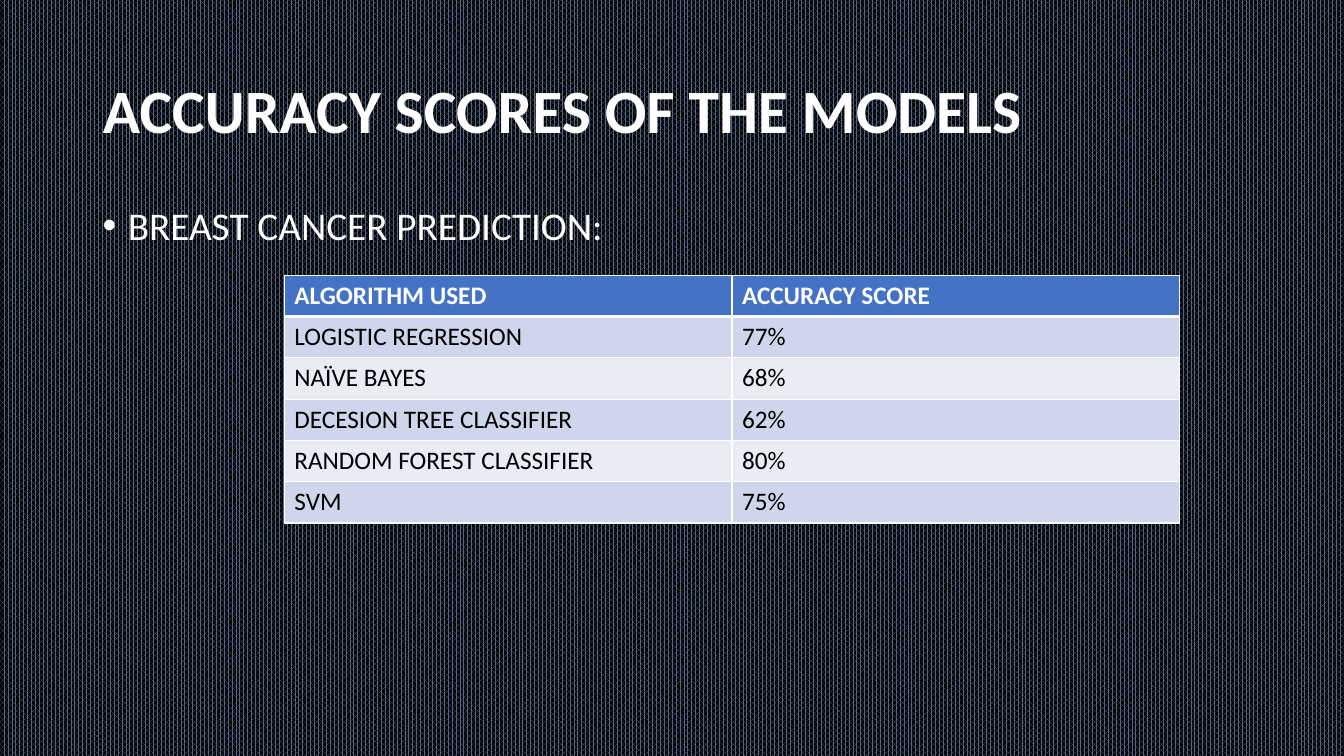
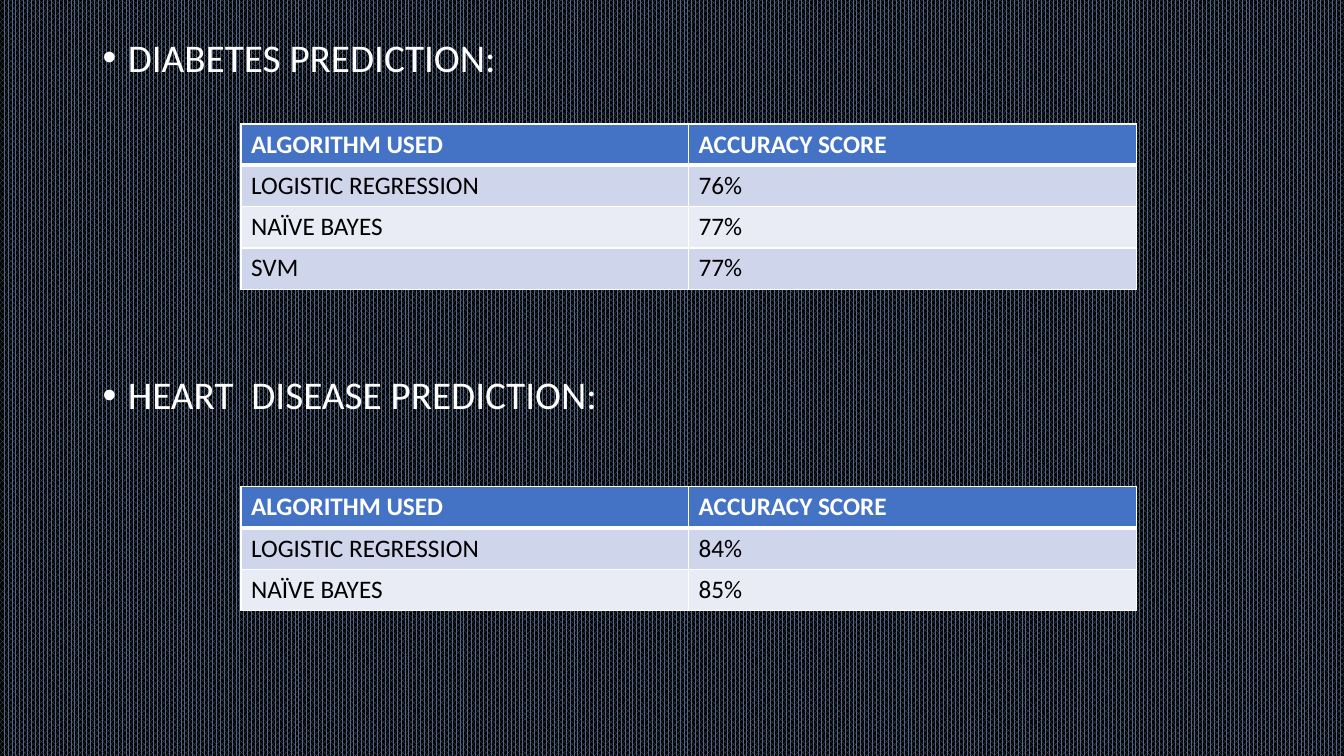
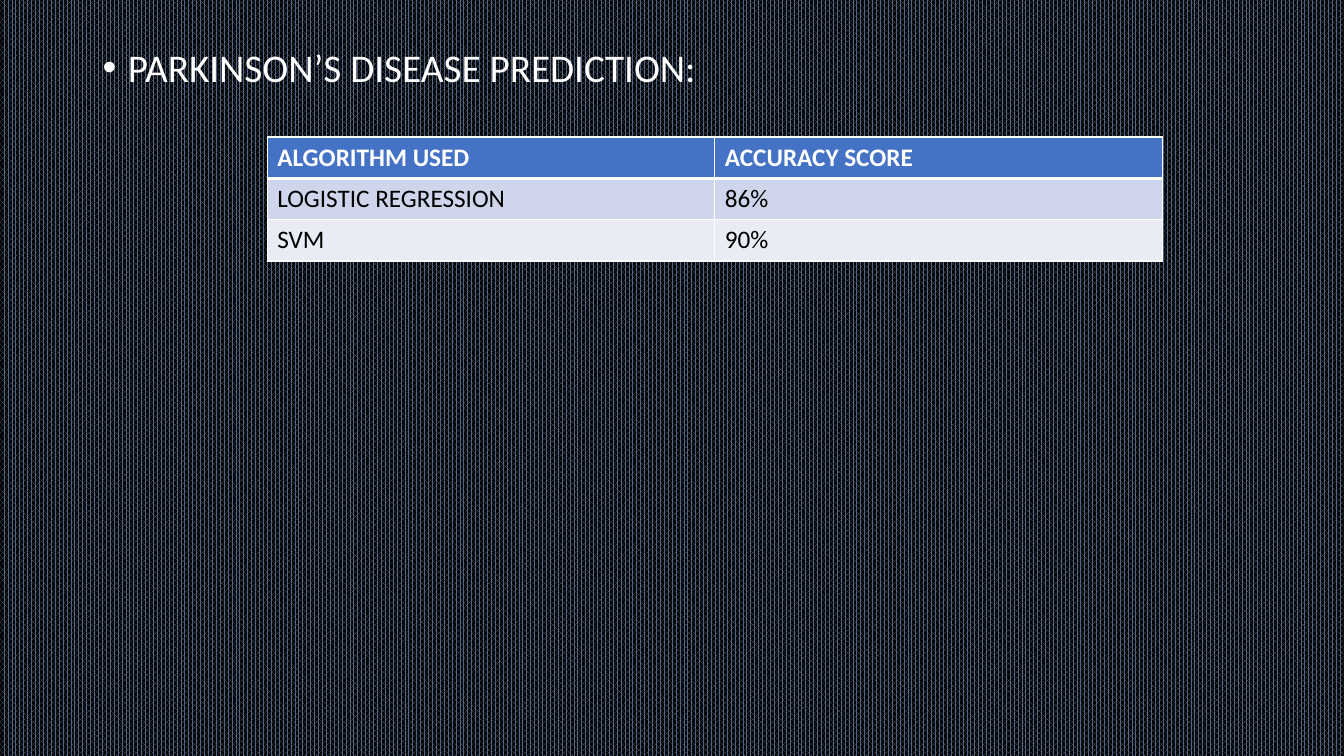
from pptx import Presentation
from pptx.dml.color import RGBColor as RGB
from pptx.enum.dml import MSO_PATTERN as PAT
from pptx.enum.text import MSO_ANCHOR as ANC, MSO_AUTO_SIZE as AUTO, PP_ALIGN as ALIGN
from pptx.oxml.ns import qn
from pptx.util import Inches, Pt
from lxml.etree import SubElement

WHITE = RGB(0xFF, 0xFF, 0xFF)
BLACK = RGB(0, 0, 0)
SLATE = RGB(0x52, 0x65, 0x82)
BLUE = RGB(0x44, 0x72, 0xC4)
BANDS = (RGB(0xCF, 0xD5, 0xEA), RGB(0xE9, 0xEB, 0xF5))
FONT = "Calibri"
EDGE, WIDE = 0.92, 11.5
COL, ROW = 4.44, 0.41
HEAD = ("ALGORITHM USED", "ACCURACY SCORE")


def write(frame, text, size=18, color=WHITE, bold=False, space=None, bullet=False):
    """Put one formatted paragraph in a text frame."""
    para = frame.paragraphs[0]
    para.text = text
    para.alignment = ALIGN.LEFT
    if space:
        para.line_spacing = space
    if bullet:
        props = para._p.get_or_add_pPr()
        props.set("marL", str(Inches(0.25)))
        props.set("indent", str(Inches(-0.25)))
        SubElement(props, qn("a:buFont")).set("typeface", "Arial")
        SubElement(props, qn("a:buChar")).set("char", "•")
    font = para.runs[0].font
    font.name, font.size, font.bold = FONT, Pt(size), bold
    font.color.rgb = color


def place(shape, left, top, width, height):
    """Move a shape to a box given in inches."""
    shape.left, shape.top = Inches(left), Inches(top)
    shape.width, shape.height = Inches(width), Inches(height)


def border(cell, **sides):
    """Draw white cell edges of the given point widths."""
    props = cell._tc.get_or_add_tcPr()
    for side in "LRTB":
        line = SubElement(props, qn("a:ln" + side), w=str(Pt(sides.get(side, 1))))
        fill = SubElement(line, qn("a:solidFill"))
        SubElement(fill, qn("a:srgbClr")).set("val", str(WHITE))


def title(slide, text):
    """Fill and place the title."""
    box = slide.shapes.title
    place(box, EDGE, 0.4, WIDE, 1.45)
    frame = box.text_frame
    frame.auto_size, frame.vertical_anchor = AUTO.NONE, ANC.MIDDLE
    write(frame, text, size=44, bold=True, space=0.9)


def topic(slide, text, top):
    """Add a bulleted heading above a table."""
    box = slide.shapes.add_textbox(Inches(EDGE), Inches(top), Inches(WIDE), Inches(0.55))
    box.text_frame.word_wrap = True
    write(box.text_frame, text, size=28, space=0.9, bullet=True)


def scores(slide, left, top, data):
    """Add a table of accuracy scores."""
    rows = [HEAD, *data]
    table = slide.shapes.add_table(len(rows), 2, Inches(left), Inches(top),
                                   Inches(2 * COL), Inches(ROW * len(rows))).table
    for r, row in enumerate(rows):
        for c, text in enumerate(row):
            cell = table.cell(r, c)
            border(cell, T=3 if r == 1 else 1, B=1 if r else 3)
            cell.fill.solid()
            cell.fill.fore_color.rgb = BANDS[(r - 1) % 2] if r else BLUE
            write(cell.text_frame, text, color=BLACK if r else WHITE, bold=r == 0)


def backdrop(deck):
    """Give the master its dotted pattern."""
    fill = deck.slide_master.background.fill
    fill.patterned()
    fill.pattern = PAT.PERCENT_75
    fill.fore_color.rgb, fill.back_color.rgb = SLATE, BLACK


def main():
    """Build the deck."""
    deck = Presentation()
    deck.slide_width, deck.slide_height = Inches(13.33), Inches(7.5)
    backdrop(deck)
    titled, blank = deck.slide_layouts[5], deck.slide_layouts[6]

    slide = deck.slides.add_slide(titled)
    title(slide, "ACCURACY SCORES OF THE MODELS")
    topic(slide, "BREAST CANCER PREDICTION:", 2)
    scores(slide, 2.82, 2.73, [
        ("LOGISTIC REGRESSION", "77%"),
        ("NAÏVE BAYES", "68%"),
        ("DECESION TREE CLASSIFIER", "62%"),
        ("RANDOM FOREST CLASSIFIER", "80%"),
        ("SVM", "75%"),
    ])

    slide = deck.slides.add_slide(blank)
    topic(slide, "DIABETES PREDICTION:", 0.33)
    scores(slide, 2.39, 1.23, [
        ("LOGISTIC REGRESSION", "76%"),
        ("NAÏVE BAYES", "77%"),
        ("SVM", "77%"),
    ])
    topic(slide, "HEART  DISEASE PREDICTION:", 3.68)
    scores(slide, 2.39, 4.83, [
        ("LOGISTIC REGRESSION", "84%"),
        ("NAÏVE BAYES", "85%"),
    ])

    slide = deck.slides.add_slide(blank)
    topic(slide, "PARKINSON’S DISEASE PREDICTION:", 0.43)
    scores(slide, 2.65, 1.36, [
        ("LOGISTIC REGRESSION", "86%"),
        ("SVM", "90%"),
    ])
    deck.save("out.pptx")


if __name__ == "__main__":
    main()
